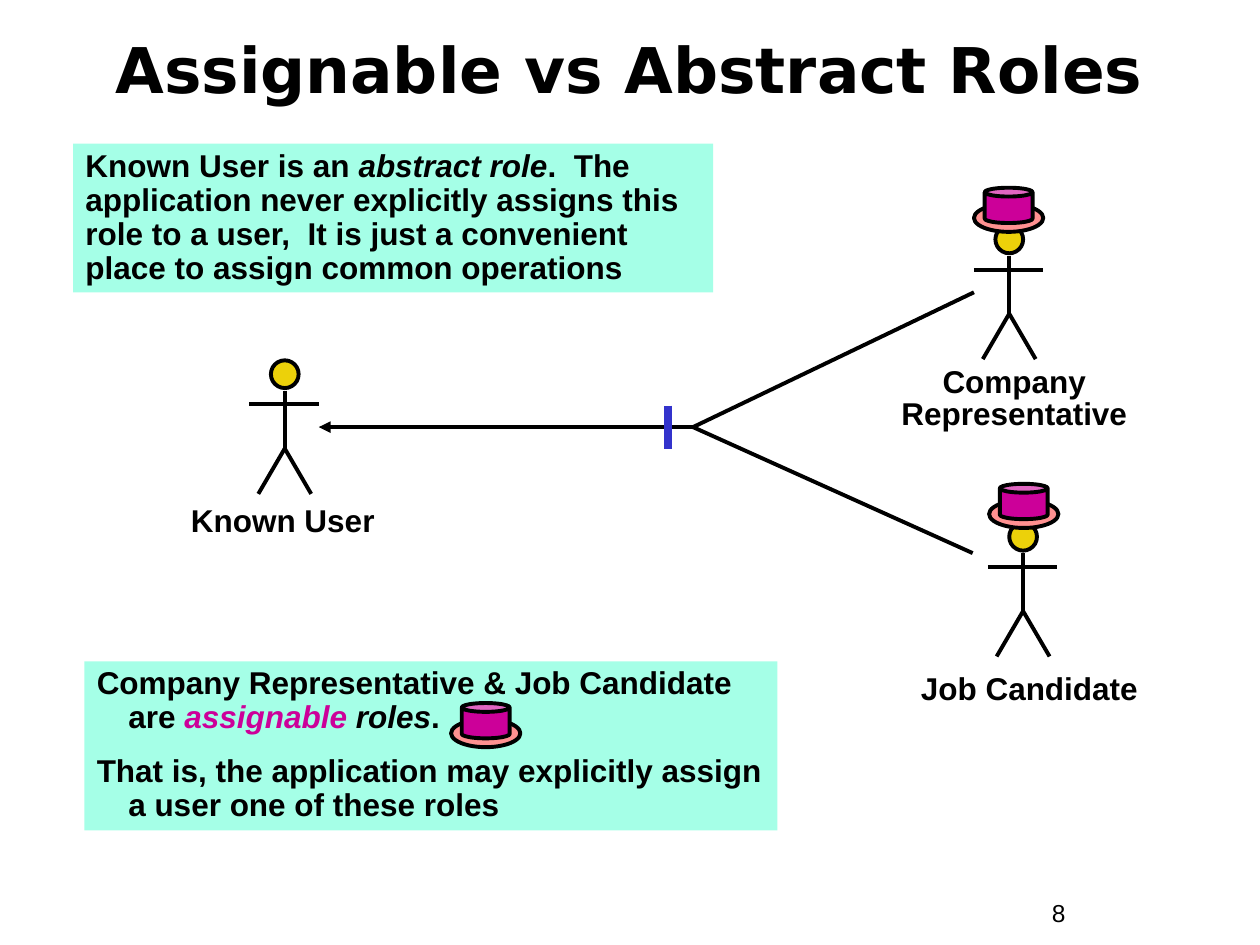
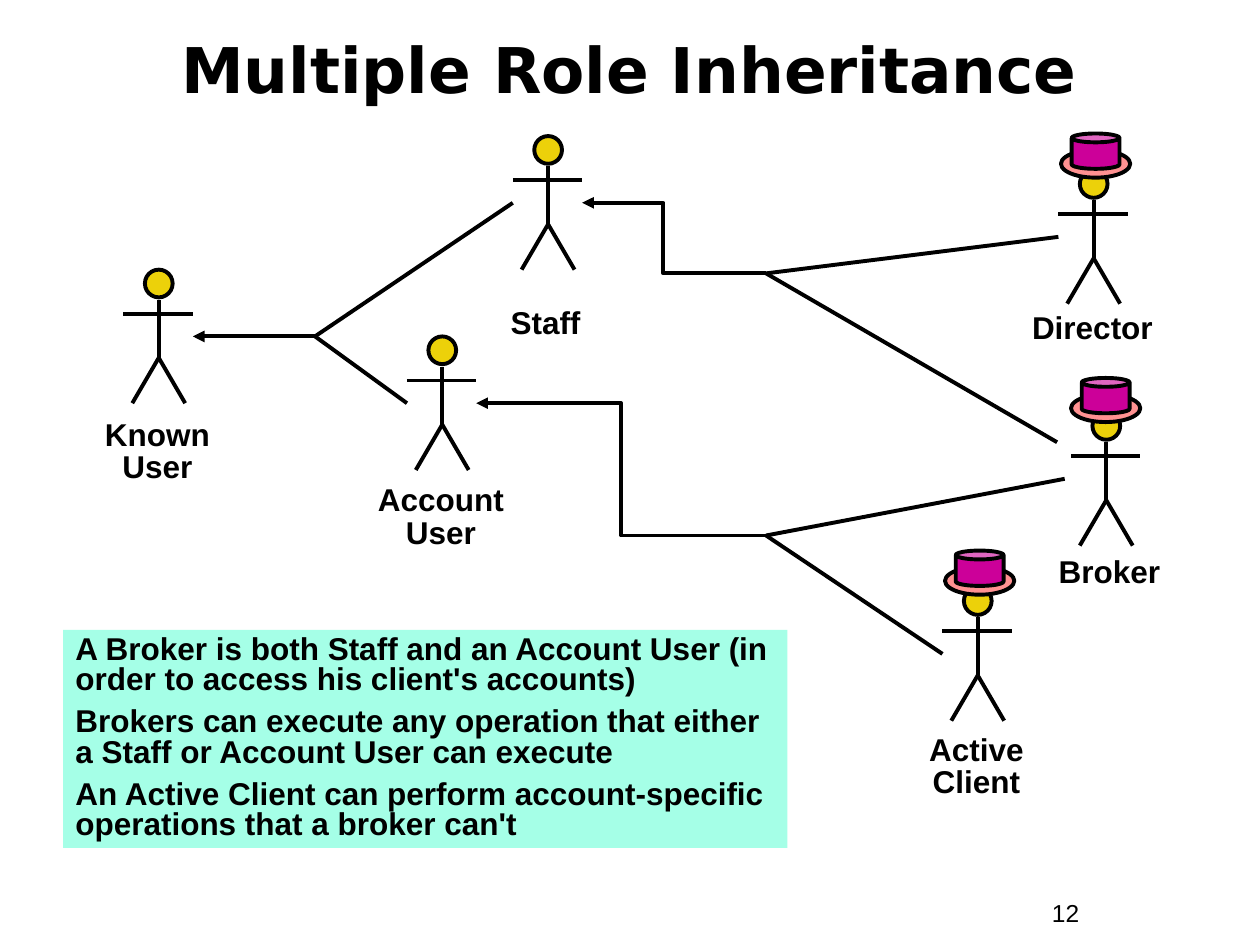
from lxml import etree
from pptx import Presentation, util as u
from pptx.dml.color import RGBColor
from pptx.enum import shapes, text
from pptx.oxml import ns

BLACK = RGBColor(0x00, 0x00, 0x00)
HEAD_YELLOW = RGBColor(0xEC, 0xD1, 0x0A)
BRIM_PINK = RGBColor(0xFF, 0x91, 0x91)
HAT_MAGENTA = RGBColor(0xCC, 0x00, 0x99)
NOTE_MINT = RGBColor(0xA5, 0xFF, 0xE7)
TICK_BLUE = RGBColor(0x33, 0x33, 0xCC)

COLUMNS, ROWS = 100, 75
TITLE_ONLY = 5
PEN = 2.25

TITLE_FONT = {"name": "DejaVu Sans", "size": u.Pt(36), "bold": True}
BODY_FONT = {"name": "Arial", "size": u.Pt(18), "bold": True}
NUMBER_FONT = {"name": "Arial", "size": u.Pt(14), "bold": False}
FRAME = {
    "word_wrap": True,
    "auto_size": text.MSO_AUTO_SIZE.NONE,
    "margin_left": u.Inches(0.1),
    "margin_right": u.Inches(0.1),
    "margin_top": u.Inches(0.05),
    "margin_bottom": u.Inches(0.05),
}
ITALIC = {"italic": True}

# Stick figure, measured from the left end of the arms and the top of the head
NECK, HIP = (2.8, 2.4), (2.8, 7.0)
LIMBS = [(NECK, HIP), ((0.7, 10.6), HIP), ((4.9, 10.6), HIP), ((0, 3.5), (5.5, 3.5))]
ARM_SPAN, WAIST = 5.5, 5.3


def apply_formats(target, formats):
    for attribute, value in formats.items():
        setattr(target, attribute, value)


class RoleDeck:
    """Lengths are columns and rows of a 100 by 75 grid."""

    def __init__(self):
        self.deck = Presentation()
        self.deck.slide_width, self.deck.slide_height = u.Inches(10), u.Inches(7.5)
        self.slide = None

    def across(self, columns):
        return round(self.deck.slide_width * columns / COLUMNS)

    def down(self, rows):
        return round(self.deck.slide_height * rows / ROWS)

    def box(self, left, top, width, height):
        return self.across(left), self.down(top), self.across(width), self.down(height)

    def new_slide(self, heading, number):
        self.slide = self.deck.slides.add_slide(self.deck.slide_layouts[TITLE_ONLY])
        title = self.slide.shapes.title
        title.left, title.top, title.width, title.height = self.box(3.3, 1.3, 93.3, 8.3)
        title.text_frame.vertical_anchor = text.MSO_ANCHOR.MIDDLE
        self.fill_text(title, [heading], TITLE_FONT, alignment=text.PP_ALIGN.CENTER)
        self.text_box((82.5, 70.8, 9.2, 3.4), number, NUMBER_FONT)

    def fill_text(self, holder, paragraphs, font, gap=0, hanging=0, **layout):
        """Fill a shape; a paragraph is a string or a list of (words, overrides)."""
        frame = holder.text_frame
        apply_formats(frame, FRAME)
        for index, content in enumerate(paragraphs):
            paragraph = frame.paragraphs[0] if index == 0 else frame.add_paragraph()
            apply_formats(paragraph, layout)
            paragraph.space_before = u.Pt(gap if index else 0)
            if hanging:
                properties = paragraph._p.get_or_add_pPr()
                properties.set("marL", str(self.across(hanging)))
                properties.set("indent", str(-self.across(hanging)))
            pieces = [(content, {})] if isinstance(content, str) else content
            for words, overrides in pieces:
                for line_index, line in enumerate(words.split("\n")):
                    if line_index:
                        paragraph.add_line_break()
                    run = paragraph.add_run()
                    run.text = line
                    formats = {**font, **overrides}
                    run.font.color.rgb = formats.pop("color", BLACK)
                    apply_formats(run.font, formats)

    def text_box(self, area, words, font=BODY_FONT, **layout):
        holder = self.slide.shapes.add_textbox(*self.box(*area))
        self.fill_text(holder, [words], font, **layout)

    def label(self, left, top, width, words):
        height = 6.1 if "\n" in words else 3.6
        self.text_box((left, top, width, height), words,
                      alignment=text.PP_ALIGN.CENTER, line_spacing=0.85)

    def solid(self, kind, area, fill, outlined=True, parent=None):
        shape = (parent or self.slide).shapes.add_shape(kind, *self.box(*area))
        shape.shadow.inherit = False
        shape.fill.solid()
        shape.fill.fore_color.rgb = fill
        if outlined:
            shape.line.color.rgb = BLACK
            shape.line.width = u.Pt(PEN)
        else:
            shape.line.fill.background()
        return shape

    def note(self, area, paragraphs, **layout):
        panel = self.solid(shapes.MSO_SHAPE.RECTANGLE, area, NOTE_MINT, outlined=False)
        panel.text_frame.vertical_anchor = text.MSO_ANCHOR.TOP
        self.fill_text(panel, paragraphs, BODY_FONT, alignment=text.PP_ALIGN.LEFT, **layout)

    def line(self, start, end, color=BLACK, width=PEN, arrow=False, parent=None):
        """Draw a line with an optional arrowhead at start; arrows bend if not level."""
        bent = arrow and abs(start[1] - end[1]) > 0.1
        kind = shapes.MSO_CONNECTOR.ELBOW if bent else shapes.MSO_CONNECTOR.STRAIGHT
        connector = (parent or self.slide).shapes.add_connector(
            kind, self.across(start[0]), self.down(start[1]),
            self.across(end[0]), self.down(end[1]))
        connector.line.color.rgb = color
        connector.line.width = u.Pt(width)
        properties = connector.element.spPr
        if arrow:
            outline = properties.find(ns.qn("a:ln"))
            etree.SubElement(outline, ns.qn("a:headEnd"), type="triangle")
        etree.SubElement(properties, ns.qn("a:effectLst"))

    def person(self, left, top):
        """Draw a stick figure; return the points left and right of its waist."""
        figure = self.slide.shapes.add_group_shape()
        self.solid(shapes.MSO_SHAPE.OVAL, (left + 1.7, top, 2.2, 2.2), HEAD_YELLOW,
                   parent=figure)
        for start, end in LIMBS:
            self.line((left + start[0], top + start[1]), (left + end[0], top + end[1]),
                      parent=figure)
        return (left, top + WAIST), (left + ARM_SPAN, top + WAIST)

    def hat(self, left, top):
        group = self.slide.shapes.add_group_shape()
        self.solid(shapes.MSO_SHAPE.OVAL, (left, top, 5.5, 2.2), BRIM_PINK, parent=group)
        self.solid(shapes.MSO_SHAPE.CAN, (left + 0.85, top - 1.3, 3.8, 2.8), HAT_MAGENTA,
                   parent=group)

    def inheritance(self, base, joint, heirs, stub=1.7):
        """Arrow from a joint to the base role, with a branch to each heir."""
        elbow = (joint[0] - stub, joint[1])
        self.line(base, elbow, arrow=True)
        if stub:
            self.line(elbow, joint)
        for heir in heirs:
            self.line(joint, heir)


def assignable_roles(deck):
    deck.new_slide("Assignable vs Abstract Roles", "8")
    _, known_user = deck.person(19.8, 28.6)
    representative, _ = deck.person(77.3, 17.9)
    deck.person(78.4, 41.5)
    deck.inheritance(known_user, (55, 33.9), [representative, (77.2, 43.9)])
    deck.line((53, 32.2), (53, 35.6), TICK_BLUE, 4.5)

    deck.note((6.7, 52.5, 55, 13.4), [
        [("Company Representative & Job Candidate are ", {}),
         ("assignable", {"italic": True, "color": HAT_MAGENTA}),
         (" roles", ITALIC), (".", {})],
        "That is, the application may explicitly assign a user one of these roles",
    ], gap=11.2, hanging=2.5, line_spacing=0.9)
    deck.note((5.8, 11.4, 50.8, 11.8), [
        [("Known User is an ", {}), ("abstract role", ITALIC),
         (".  The application never explicitly assigns this role to a user,  "
          "It is just a convenient place to assign common operations", {})],
    ], line_spacing=0.9)

    for brim in [(78.5, 39.7), (77.3, 16.2), (35.8, 57.1)]:
        deck.hat(*brim)
    deck.label(71.7, 53.1, 20, "Job Candidate")
    deck.label(70.5, 28.7, 20, "Company\nRepresentative")
    deck.label(13.3, 39.7, 18.3, "Known User")


def multiple_inheritance(deck):
    deck.new_slide("Multiple Role Inheritance", "12")
    _, known_user = deck.person(9.8, 21.4)
    staff_left, staff_right = deck.person(40.7, 10.8)
    account_left, account_right = deck.person(32.3, 26.7)
    director, _ = deck.person(84, 13.5)
    deck.person(85, 32.7)
    client, _ = deck.person(74.8, 46.6)

    broker_as_staff, broker_as_account = (83.9, 35.1), (84.5, 38)
    deck.inheritance(known_user, (25, 26.7), [staff_left, account_left])
    deck.inheritance(staff_right, (60.8, 21.7), [director, broker_as_staff])
    deck.inheritance(account_right, (60.8, 42.5), [broker_as_account, client], stub=0)

    for brim in [(84.2, 11.9), (85, 31.3), (75, 45)]:
        deck.hat(*brim)
    for left, top, width, role in [
        (5, 32.9, 15, "Known\nUser"),
        (33.3, 24, 20, "Staff"),
        (27.5, 38.1, 15, "Account\nUser"),
        (76.7, 24.4, 20, "Director"),
        (80.9, 43.8, 14.3, "Broker"),
        (67.5, 57.9, 20, "Active\nClient"),
    ]:
        deck.label(left, top, width, role)

    deck.note((5, 50, 57.5, 17.3), [
        "A Broker is both Staff and an Account User (in order to access his "
        "client's accounts)",
        "Brokers can execute any operation that either a Staff or Account User can execute",
        "An Active Client can perform account-specific operations that a broker can't",
    ], gap=6.8, line_spacing=0.8)


def main():
    roles = RoleDeck()
    assignable_roles(roles)
    multiple_inheritance(roles)
    roles.deck.save("out.pptx")


if __name__ == "__main__":
    main()
